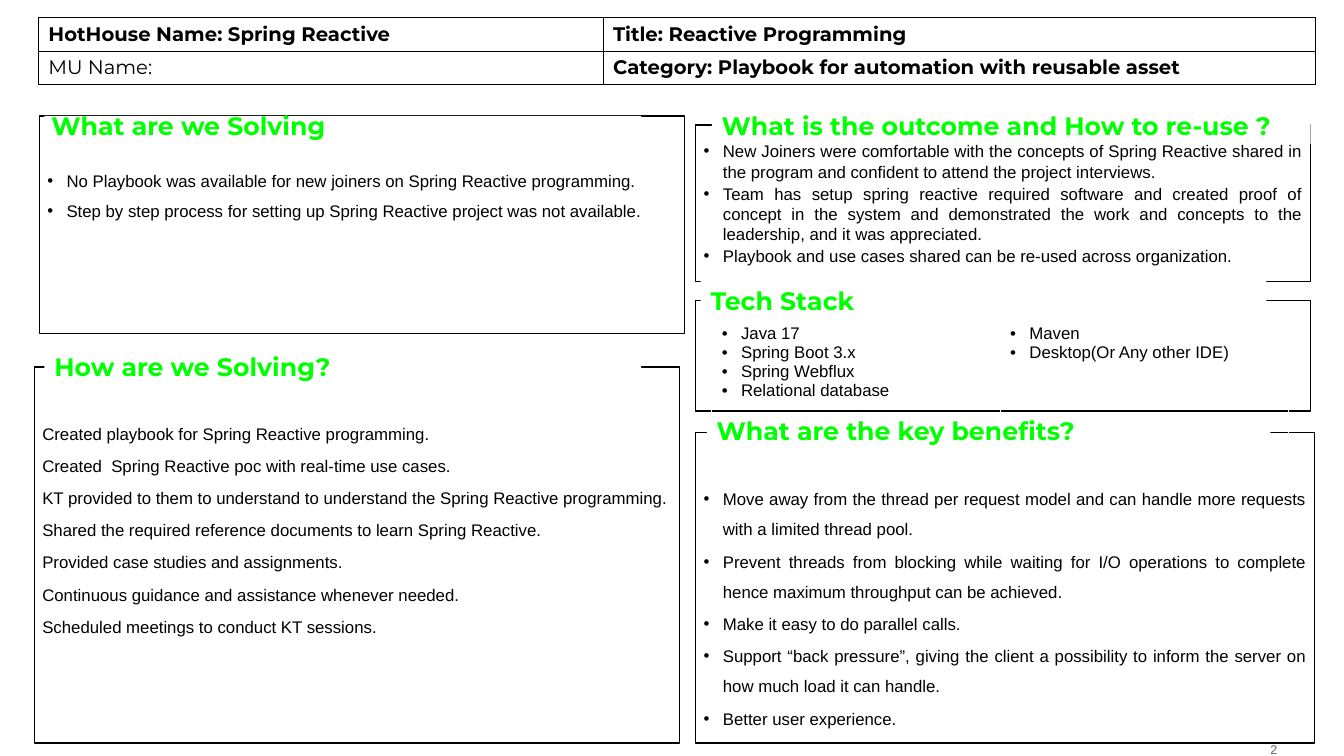
from lxml.etree import SubElement
from pptx import Presentation
from pptx.dml.color import RGBColor
from pptx.enum.shapes import MSO_SHAPE
from pptx.enum.text import MSO_ANCHOR, PP_ALIGN
from pptx.oxml.ns import qn
from pptx.util import Inches, Pt

COLORS = {"ink": "000000", "paper": "FFFFFF", "heading": "00FF00", "number": "666666"}

SOLVING = [
    "No Playbook was available for new joiners on Spring Reactive programming.",
    "Step by step process for setting up Spring Reactive project was not available.",
]
APPROACH = [
    "Created playbook for Spring Reactive programming.",
    "Created  Spring Reactive poc with real-time use cases.",
    "KT provided to them to understand to understand the Spring Reactive programming.",
    "Shared the required reference documents to learn Spring Reactive.",
    "Provided case studies and assignments.",
    "Continuous guidance and assistance whenever needed.",
    "Scheduled meetings to conduct KT sessions.",
]
OUTCOME = [
    "New Joiners were comfortable with the concepts of Spring Reactive shared in the program and confident to attend the project interviews.",
    "Team has setup spring reactive required software and created proof of concept in the system and demonstrated the work and concepts to the leadership, and it was appreciated.",
    "Playbook and use cases shared can be re-used across organization.",
]
BENEFITS = [
    "Move away from the thread per request model and can handle more requests with a limited thread pool.",
    "Prevent threads from blocking while waiting for I/O operations to complete hence maximum throughput can be achieved.",
    "Make it easy to do parallel calls.",
    "Support “back pressure”, giving the client a possibility to inform the server on how much load it can handle.",
    "Better user experience.",
]
TECH_STACK = [
    ["Java 17", "Spring Boot 3.x", "Spring Webflux", "Relational database"],
    ["Maven", "Desktop(Or Any other IDE)"],
]
HEADER = [
    ["HotHouse Name: Spring Reactive", "Title: Reactive Programming"],
    ["MU Name:", "Category: Playbook for automation with reusable asset"],
]


def rgb(name):
    return RGBColor.from_string(COLORS[name])


def style_font(paragraph, family, size, color, bold=False):
    for run in paragraph.runs:
        run.font.name = family
        run.font.size = Pt(size)
        run.font.bold = bold
        run.font.color.rgb = rgb(color)


def set_insets(frame, left, top, right, bottom):
    frame.margin_left, frame.margin_top = Inches(left), Inches(top)
    frame.margin_right, frame.margin_bottom = Inches(right), Inches(bottom)


def add_bullet(paragraph):
    props = paragraph._p.get_or_add_pPr()
    props.set("marL", str(Inches(0.19)))
    props.set("indent", str(-Inches(0.19)))
    SubElement(props, qn("a:buFont")).set("typeface", "Arial")
    SubElement(props, qn("a:buChar")).set("char", "•")


def write_lines(frame, lines, align=PP_ALIGN.LEFT, spacing=1.0, before=0, bullets=True):
    frame.text = "\n".join(lines)
    for paragraph in frame.paragraphs:
        paragraph.alignment = align
        paragraph.line_spacing = spacing
        paragraph.space_before = Pt(before)
        style_font(paragraph, "Arial", 12, "ink")
        if bullets:
            add_bullet(paragraph)


def add_rectangle(slide, box):
    rectangle = slide.shapes.add_shape(MSO_SHAPE.RECTANGLE, *map(Inches, box))
    rectangle.shadow.inherit = False
    rectangle.text_frame.word_wrap = True
    rectangle.text_frame.vertical_anchor = MSO_ANCHOR.TOP
    return rectangle


def add_panel(slide, box, lines=(), top=0.16, **layout):
    panel = add_rectangle(slide, box)
    panel.fill.background()
    panel.line.color.rgb = rgb("ink")
    panel.line.width = Pt(1)
    if lines:
        set_insets(panel.text_frame, 0.08, top, 0.08, 0.04)
        write_lines(panel.text_frame, lines, **layout)


def add_heading(slide, box, title, spacing=1.0, left=0.1, top=0.04):
    heading = add_rectangle(slide, box)
    heading.fill.solid()
    heading.fill.fore_color.rgb = rgb("paper")
    heading.line.fill.background()
    set_insets(heading.text_frame, left, top, top, top)
    heading.text_frame.text = title
    paragraph = heading.text_frame.paragraphs[0]
    paragraph.alignment = PP_ALIGN.LEFT
    paragraph.line_spacing = spacing
    style_font(paragraph, "Montserrat", 18, "heading", True)


def set_borders(cell, color, width, bottom_width):
    props = cell._tc.get_or_add_tcPr()
    widths = {"lnL": width, "lnR": width, "lnT": width, "lnB": bottom_width}
    for position, (side, points) in enumerate(widths.items()):
        border = props.makeelement(qn("a:" + side), {"w": str(Pt(points))})
        fill = SubElement(border, qn("a:solidFill"))
        SubElement(fill, qn("a:srgbClr")).set("val", COLORS[color])
        props.insert(position, border)


def add_grid(slide, box, rows, column_widths):
    grid = slide.shapes.add_table(rows, len(column_widths), *map(Inches, box)).table
    grid.first_row = grid.horz_banding = False
    for column, width in zip(grid.columns, column_widths):
        column.width = Inches(width)
    for cell in grid.iter_cells():
        cell.fill.background()
    return grid


def add_header(slide, box):
    header = add_grid(slide, box, 2, [5.6, 7.06])
    for r, labels in enumerate(HEADER):
        for c, label in enumerate(labels):
            cell = header.cell(r, c)
            cell.text_frame.text = label
            style_font(cell.text_frame.paragraphs[0], "Montserrat", 14, "ink", (r, c) != (1, 0))
            set_borders(cell, "ink", 0.25, 0.25)


def add_tech_stack(slide, box):
    stack = add_grid(slide, box, 1, [box[2] / 2] * 2)
    for c, tools in enumerate(TECH_STACK):
        write_lines(stack.cell(0, c).text_frame, tools)
        set_borders(stack.cell(0, c), "paper", 1, 3)


def add_page_number(slide, box):
    frame = slide.shapes.add_textbox(*map(Inches, box)).text_frame
    frame.word_wrap = True
    frame.vertical_anchor = MSO_ANCHOR.MIDDLE
    set_insets(frame, 0.1, 0.05, 0, 0.05)
    frame.text = "2"
    frame.paragraphs[0].alignment = PP_ALIGN.RIGHT
    style_font(frame.paragraphs[0], "Arial", 9, "number")


def main():
    deck = Presentation()
    deck.slide_width, deck.slide_height = Inches(13.33), Inches(7.5)
    slide = deck.slides.add_slide(deck.slide_layouts[6])
    justified = {"align": PP_ALIGN.JUSTIFY, "before": 1.4}

    add_page_number(slide, (11.87, 7.37, 0.8, 0.14))
    add_panel(slide, (0.39, 1.15, 6.4, 2.16), SOLVING, top=0.44, spacing=1.5)
    add_panel(slide, (0.34, 3.64, 6.4, 3.73), APPROACH, top=0.46, spacing=1.5, bullets=False, **justified)
    add_panel(slide, (6.9, 2.98, 6.1, 1.1))
    add_panel(slide, (6.9, 4.29, 6.14, 3.08), BENEFITS, top=0.46, spacing=1.5, **justified)
    add_heading(slide, (7.01, 4.14, 5.59, 0.32), "What are the key benefits?", spacing=0.8)
    add_panel(slide, (6.9, 1.24, 6.1, 1.55), OUTCOME, **justified)
    add_heading(slide, (0.44, 3.5, 5.92, 0.33), "How are we Solving?", spacing=0.8)
    add_heading(slide, (0.44, 1.15, 5.92, 0.25), "What are we Solving", spacing=0.8, left=0.07, top=0)
    add_header(slide, (0.38, 0.17, 12.66, 0.67))
    add_heading(slide, (6.95, 2.79, 5.61, 0.38), "Tech Stack")
    add_heading(slide, (7.06, 1.05, 5.94, 0.38), "What is the outcome and How to re-use ?")
    add_tech_stack(slide, (7.06, 3.17, 5.72, 1.3))
    deck.save("out.pptx")


if __name__ == "__main__":
    main()
